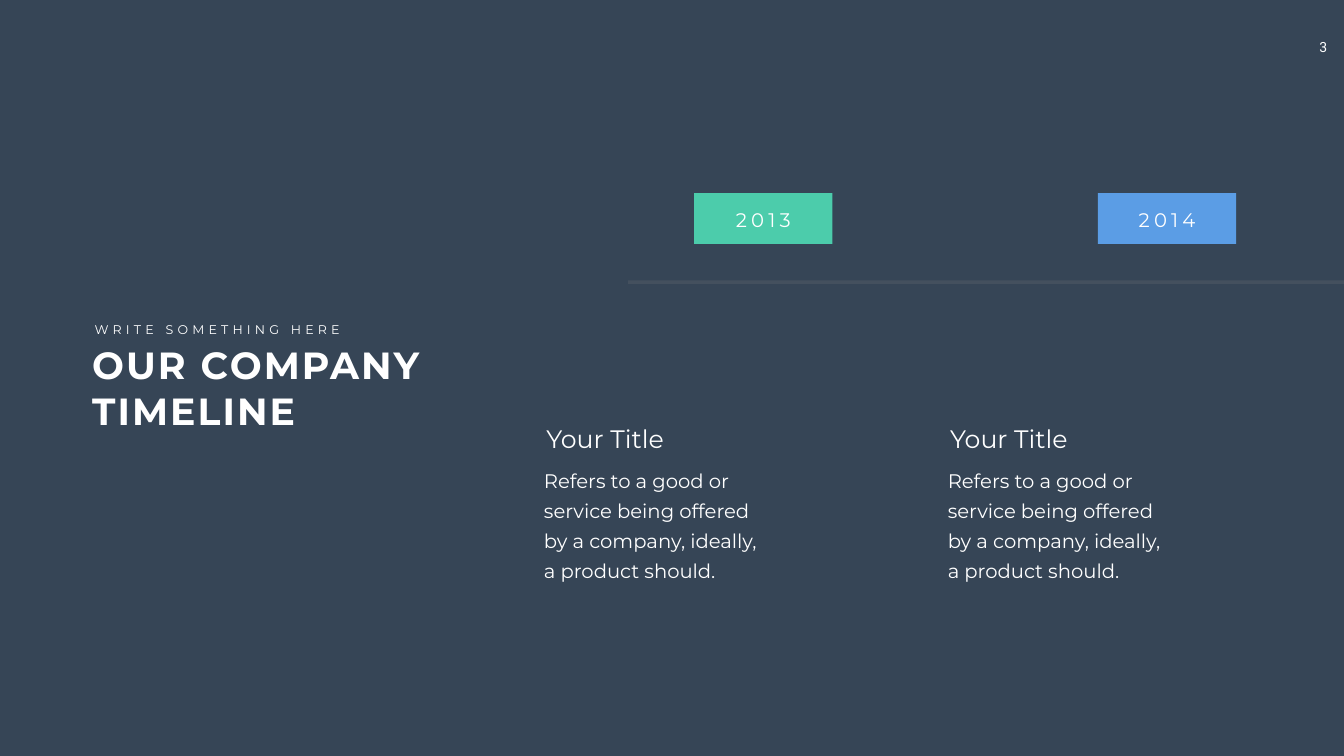
from dataclasses import dataclass
from typing import Any

from lxml import etree
from pptx import Presentation
from pptx import util as u
from pptx.dml.color import RGBColor
from pptx.enum import shapes, text
from pptx.oxml.ns import qn


@dataclass(frozen=True)
class Theme:
    background: str = "364556"
    ink: str = "FFFFFF"
    axis: str = "808080"
    green: str = "4CCCAB"
    blue: str = "5B9DE5"
    font: str = "Montserrat"
    number_font: str = "Roboto"
    heading: int = 54
    title: int = 36
    body: int = 28
    number: int = 20
    kicker: int = 18


@dataclass(frozen=True)
class Box:
    left: float
    top: float
    width: float
    height: float

    def lengths(self) -> list[u.Length]:
        return [u.Pt(v) for v in (self.left, self.top, self.width, self.height)]


@dataclass(frozen=True)
class Milestone:
    year: str
    color: str
    title: str
    body: str


THEME = Theme()
WIDTH, HEIGHT = 1919.52, 1080
FIRST_LEFT, PITCH = 759.6, 576.72
AXIS_LEFT, AXIS_TOP = 897.12, 403.2
BODY = "Refers to a good or service being offered by a company, ideally, a product should."
MILESTONES = [
    Milestone("2013", THEME.green, "Your Title", BODY),
    Milestone("2014", THEME.blue, "Your Title", BODY),
]


def rgb(value: str) -> RGBColor:
    return RGBColor.from_string(value)


def add_text(parent: Any, box: Box, words: str, size: int, *, font: str = THEME.font,
             bold: bool = False, spacing: int = 0, align: Any = text.PP_ALIGN.LEFT,
             leading: float | None = None, inset: tuple[float, float] = (7.2, 3.6),
             wrap: bool = True) -> None:
    tf = parent.add_textbox(*box.lengths()).text_frame
    frame_format = {
        "word_wrap": wrap,
        "margin_left": u.Pt(inset[0]),
        "margin_right": u.Pt(inset[0]),
        "margin_top": u.Pt(inset[1]),
        "margin_bottom": u.Pt(inset[1]),
    }
    for name, value in frame_format.items():
        setattr(tf, name, value)
    p = tf.paragraphs[0]
    p.alignment = align
    if leading:
        p.line_spacing = u.Pt(leading)
    r = p.add_run()
    r.text = words
    for name, value in {"name": font, "size": u.Pt(size), "bold": bold}.items():
        setattr(r.font, name, value)
    r.font.color.rgb = rgb(THEME.ink)
    if spacing:
        r._r.get_or_add_rPr().set("spc", str(spacing * 100))


def add_axis(s: Any) -> None:
    line = s.shapes.add_connector(shapes.MSO_CONNECTOR.STRAIGHT, u.Pt(AXIS_LEFT),
                                  u.Pt(AXIS_TOP), u.Pt(WIDTH), u.Pt(AXIS_TOP))
    line.line.width = u.Pt(5)
    line.line.color.rgb = rgb(THEME.axis)
    sp_pr = line._element.spPr
    color = sp_pr.find(".//" + qn("a:srgbClr"))
    etree.SubElement(color, qn("a:alpha"), val="20000")
    etree.SubElement(sp_pr, qn("a:effectLst"))


def add_heading(s: Any) -> None:
    group = s.shapes.add_group_shape().shapes
    add_text(group, Box(124.56, 485.28, 534.96, 138.24), "OUR COMPANY TIMELINE",
             THEME.heading, bold=True, spacing=3)
    add_text(group, Box(128.16, 455.76, 372.96, 28.8), "WRITE SOMETHING HERE",
             THEME.kicker, spacing=6, wrap=False)


def add_milestone(s: Any, left: float, item: Milestone) -> None:
    group = s.shapes.add_group_shape().shapes
    add_text(group, Box(left, 651.6, 346.32, 187.2), item.body, THEME.body,
             leading=43, inset=(17.28, 8.64))
    add_text(group, Box(left + 13.68, 600.48, 346.32, 51.12), item.title, THEME.title)

    sp = s.shapes.add_shape(shapes.MSO_SHAPE.RECTANGLE,
                            *Box(left + 231.84, 275.76, 197.28, 72.72).lengths())
    sp.shadow.inherit = False
    sp.fill.solid()
    sp.fill.fore_color.rgb = rgb(item.color)
    sp.line.fill.background()
    add_text(s.shapes, Box(left + 255.24, 293.76, 150.48, 41.04), item.year, THEME.body,
             spacing=6, align=text.PP_ALIGN.CENTER)


def main() -> None:
    prs = Presentation()
    prs.slide_width, prs.slide_height = u.Pt(WIDTH), u.Pt(HEIGHT)
    s = prs.slides.add_slide(prs.slide_layouts[6])
    s.background.fill.solid()
    s.background.fill.fore_color.rgb = rgb(THEME.background)

    add_text(s.shapes, Box(1857.24, 48.24, 65.52, 38.88), "3", THEME.number,
             font=THEME.number_font, align=text.PP_ALIGN.CENTER, inset=(14.4, 7.2))
    add_axis(s)
    add_heading(s)
    for i, item in enumerate(MILESTONES):
        add_milestone(s, FIRST_LEFT + i * PITCH, item)
    prs.save("out.pptx")


if __name__ == "__main__":
    main()
